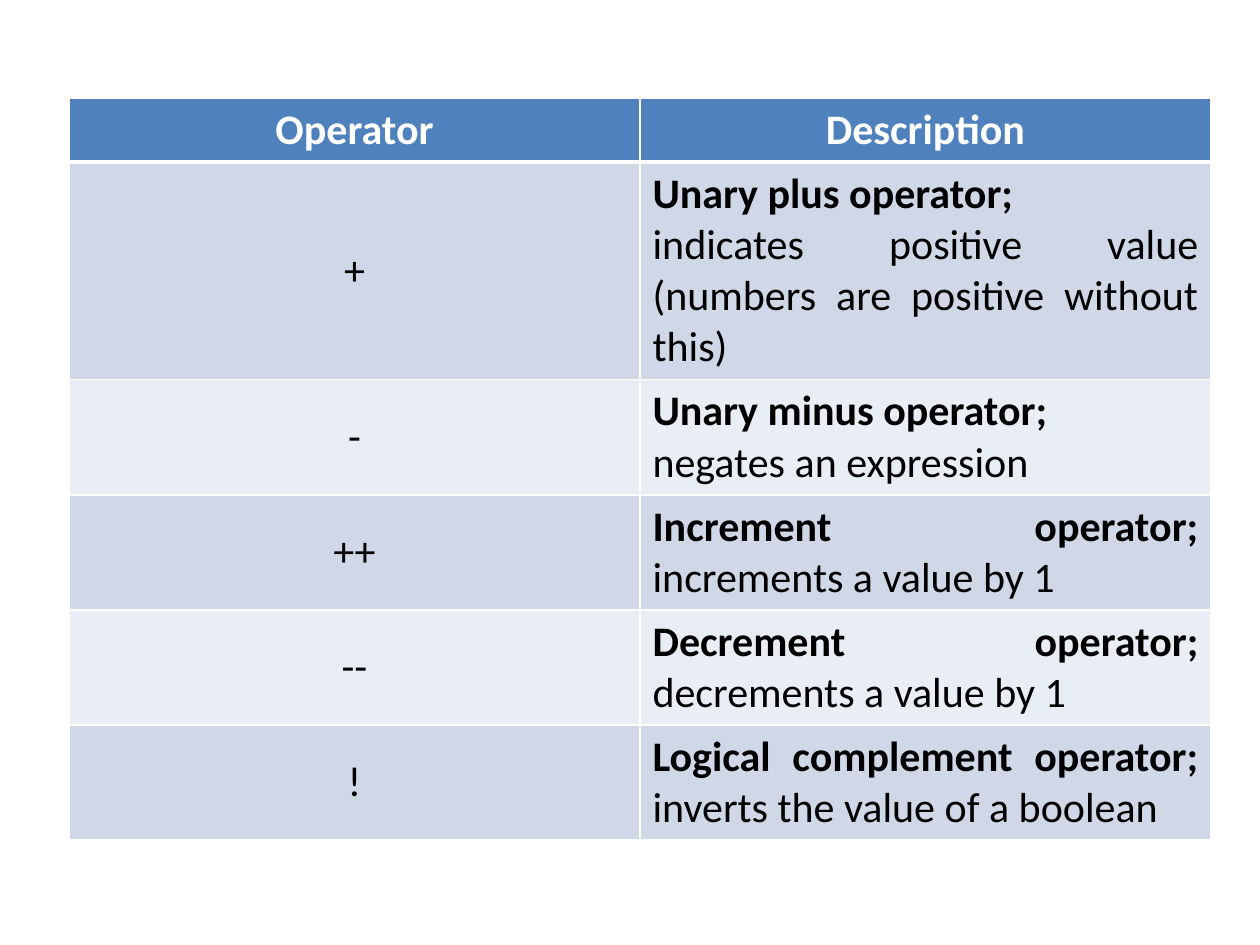
import pptx
import pptx.util
import pptx.dml.color
import pptx.enum.text
import pptx.oxml
import pptx.oxml.ns

RGB = pptx.dml.color.RGBColor
ALIGN = pptx.enum.text.PP_ALIGN
WHITE = RGB(0xFF, 0xFF, 0xFF)
BLACK = RGB(0, 0, 0)
BLUE = RGB(0x4F, 0x81, 0xBD)
BANDS = [RGB(0xD0, 0xD8, 0xE8), RGB(0xE9, 0xED, 0xF4)]

HEADS = ["Operator", "Description"]
ROWS = [
    ("+", [["Unary plus operator;"],
           ["indicates positive value (numbers are positive without this)"]]),
    ("-", [["Unary minus operator;"], ["negates an expression"]]),
    ("++", [["Increment operator; ", "increments a value by 1"]]),
    ("--", [["Decrement operator; ", "decrements a value by 1"]]),
    ("!", [["Logical complement operator; ", "inverts the value of a boolean"]]),
]
LEFT, TOP, WIDE = 69, 98, 571
TALL = [64, 217, 115, 115, 115, 115]
FONT = {"name": "Calibri", "size": pptx.util.Pt(24)}


def px(n):
    return round(n * 914400 / 126)


def edge(cell, base):
    props = cell._tc.get_or_add_tcPr()
    sides = {"lnL": 1, "lnR": 1, "lnT": 1, "lnB": base}
    for spot, (side, size) in enumerate(sides.items()):
        line = pptx.oxml.parse_xml(
            f'<a:{side} {pptx.oxml.ns.nsdecls("a")} w="{size * 12700}">'
            f'<a:solidFill><a:srgbClr val="{WHITE}"/></a:solidFill></a:{side}>')
        props.insert(spot, line)


def write(cell, paras, align, color, fill):
    cell.fill.solid()
    cell.fill.fore_color.rgb = fill
    cell.vertical_anchor = pptx.enum.text.MSO_ANCHOR.MIDDLE
    frame = cell.text_frame
    for spot, runs in enumerate(paras):
        para = frame.add_paragraph() if spot else frame.paragraphs[0]
        para.alignment = align
        for text, bold in runs:
            run = para.add_run()
            run.text = text
            for key, value in {**FONT, "bold": bold}.items():
                setattr(run.font, key, value)
            run.font.color.rgb = color


def main():
    deck = pptx.Presentation()
    deck.slide_width, deck.slide_height = px(1260), px(945)
    slide = deck.slides.add_slide(deck.slide_layouts[6])
    table = slide.shapes.add_table(
        len(TALL), 2, px(LEFT), px(TOP), px(2 * WIDE), px(sum(TALL))).table
    for col in table.columns:
        col.width = px(WIDE)
    for row, high in zip(table.rows, TALL):
        row.height = px(high)

    for col, head in enumerate(HEADS):
        write(table.cell(0, col), [[(head, True)]], ALIGN.CENTER, WHITE, BLUE)
    for num, (sign, paras) in enumerate(ROWS, 1):
        fill = BANDS[(num - 1) % 2]
        title = paras[0][0]
        about = [[(text, text == title) for text in runs] for runs in paras]
        write(table.cell(num, 0), [[(sign, False)]], ALIGN.CENTER, BLACK, fill)
        write(table.cell(num, 1), about, ALIGN.JUSTIFY, BLACK, fill)
    for num, row in enumerate(table.rows):
        for cell in row.cells:
            edge(cell, 1 if num else 3)
    deck.save("out.pptx")


if __name__ == "__main__":
    main()
